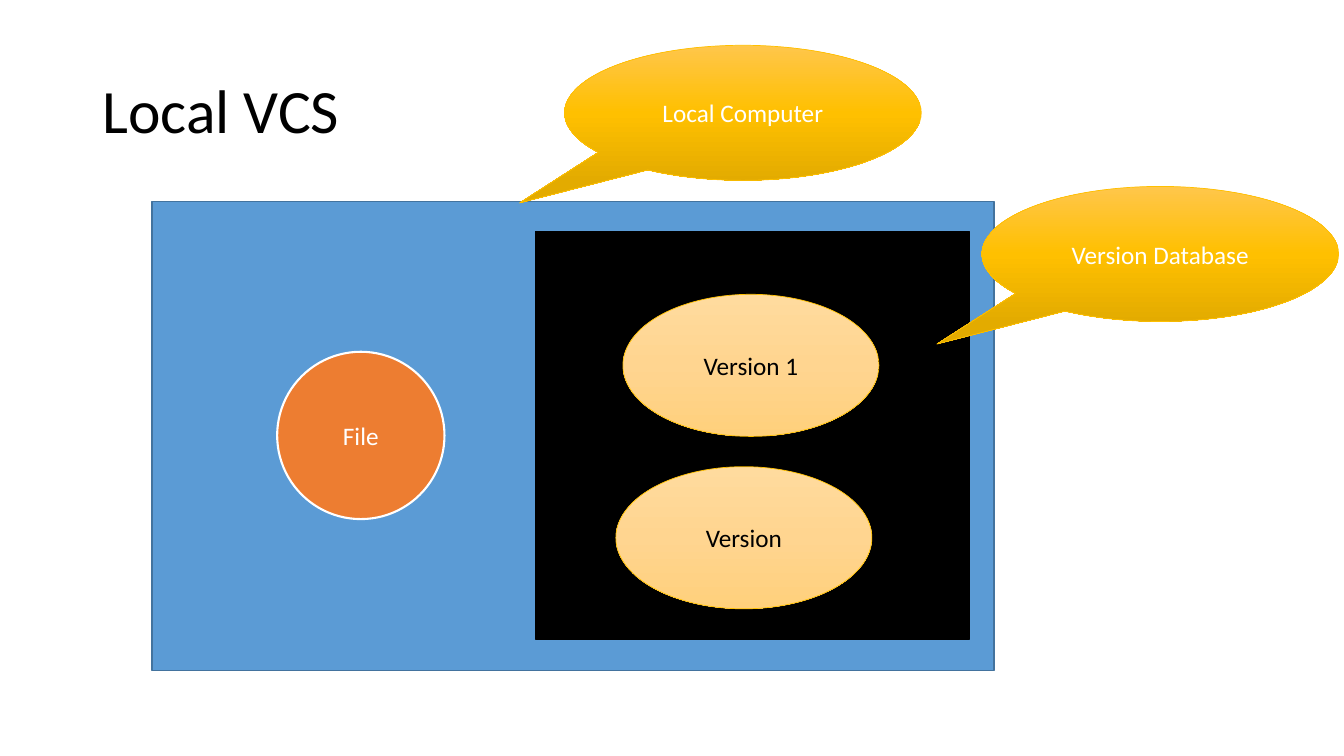
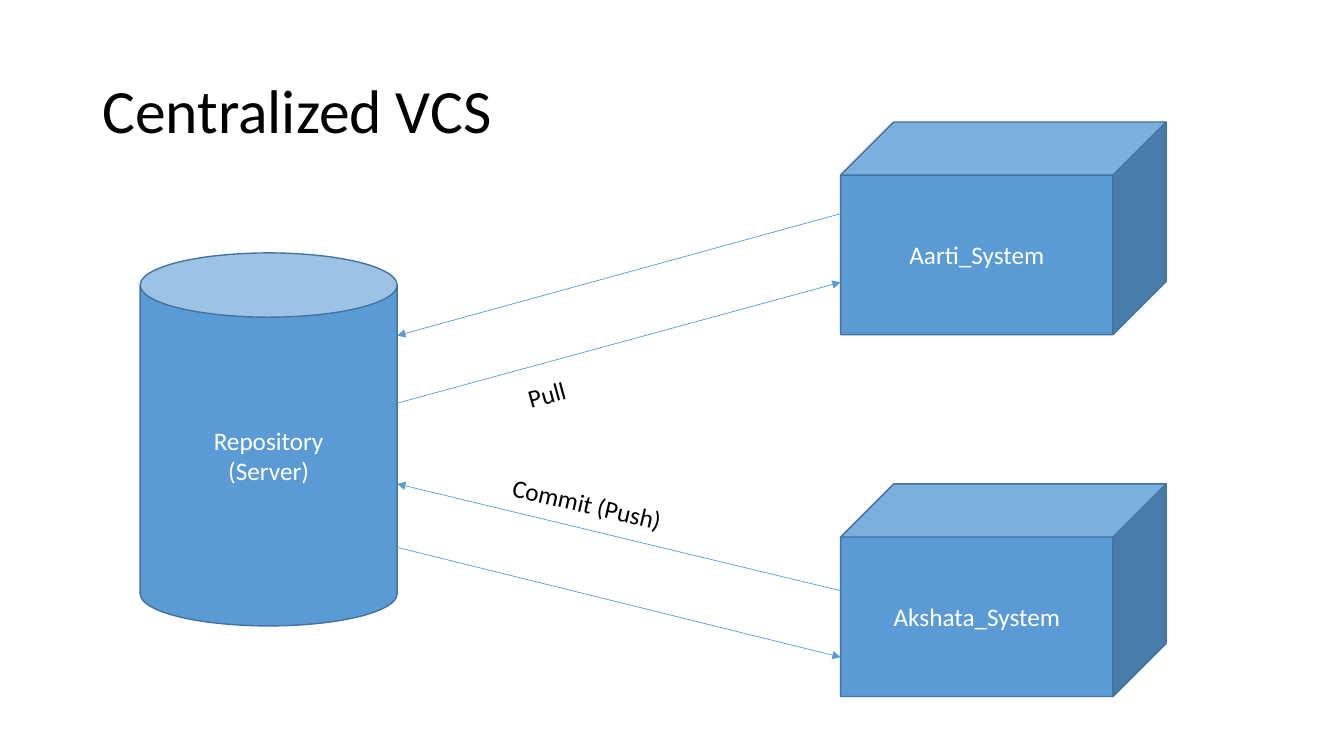
from copy import deepcopy

from lxml import etree
from pptx import Presentation
from pptx import util as u
from pptx.dml import color
from pptx.enum import shapes, text
from pptx.oxml import ns

# Grid: 40 columns by 30 rows
COLUMN, ROW = u.Inches(1 / 3), u.Inches(0.25)
KIND = shapes.MSO_SHAPE


def paint(value):
    return color.RGBColor.from_string(value)


class Deck:
    """Holds the shared style and the current slide."""

    WHITE, BLACK, BLUE, NAVY = "FFFFFF", "000000", "5B9BD5", "43739E"
    ORANGE, GOLD = "ED7D31", "FFC000"
    PALE_GOLD = ("FFDB9E", "FFD590", "FFD07C")
    DEEP_GOLD = ("FFC64B", GOLD, "E3AB00")
    BODY = {"name": "Calibri", "size": u.Pt(18)}
    HEADING = {"name": "Calibri", "size": u.Pt(44)}

    def __init__(self):
        self.show = Presentation()
        self.show.slide_width, self.show.slide_height = 40 * COLUMN, 30 * ROW
        self.page = None

    def place(self, left, top, width, height):
        return (round(left * COLUMN), round(top * ROW),
                round(width * COLUMN), round(height * ROW))

    def new_page(self, heading):
        self.page = self.show.slides.add_slide(self.show.slide_layouts[6])
        title = self.label(heading, (2.75, 1.6, 34.5, 5.8), style=self.HEADING)
        title.text_frame.vertical_anchor = text.MSO_ANCHOR.MIDDLE
        title.text_frame.paragraphs[0].line_spacing = 0.9

    def set_words(self, box, words, ink, style, align):
        frame = box.text_frame
        frame.word_wrap = True
        frame.text = words
        for para in frame.paragraphs:
            para.alignment = align
            for span in para.runs:
                for name, value in style.items():
                    setattr(span.font, name, value)
                span.font.color.rgb = paint(ink)

    def label(self, words, area, style=BODY, turn=0):
        box = self.page.shapes.add_textbox(*self.place(*area))
        self.set_words(box, words, self.BLACK, style, text.PP_ALIGN.LEFT)
        box.rotation = turn
        return box

    def shape(self, kind, area, fill=BLUE, edge=NAVY, weight=1, words="",
              ink=WHITE, adjust=()):
        box = self.page.shapes.add_shape(kind, *self.place(*area))
        box.shadow.inherit = False
        for index, value in enumerate(adjust):
            box.adjustments[index] = value
        if isinstance(fill, str):
            box.fill.solid()
            box.fill.fore_color.rgb = paint(fill)
        else:
            self.shade(box, fill)
        box.line.color.rgb = paint(edge)
        box.line.width = u.Pt(weight)
        if words:
            box.text_frame.vertical_anchor = text.MSO_ANCHOR.MIDDLE
            self.set_words(box, words, ink, self.BODY, text.PP_ALIGN.CENTER)

    def shade(self, box, tones):
        """Fill from top to bottom with three evenly spaced tones."""
        box.fill.gradient()
        box.fill.gradient_angle = 270
        stops = box.element.spPr.find(".//" + ns.qn("a:gsLst"))
        stops.append(deepcopy(stops[-1]))
        for index, (stop, tone) in enumerate(zip(box.fill.gradient_stops, tones)):
            stop.color.rgb = paint(tone)
            stop.position = index / 2

    def version(self, words, left, top):
        self.shape(KIND.OVAL, (left, top, 7.62, 5.64), self.PALE_GOLD,
                   self.GOLD, 0.5, words, self.BLACK)

    def callout(self, words, left, top):
        self.shape(KIND.OVAL_CALLOUT, (left, top, 10.62, 5.36), self.DEEP_GOLD,
                   self.GOLD, 0.5, words, adjust=(-0.626, 0.667))

    def arrow(self, start, end):
        ends = self.place(*start, *end)
        line = self.page.shapes.add_connector(shapes.MSO_CONNECTOR.STRAIGHT, *ends)
        line.line.color.rgb = paint(self.BLUE)
        line.line.width = u.Pt(0.5)
        look = line.element.spPr
        etree.SubElement(look.find(ns.qn("a:ln")), ns.qn("a:tailEnd"), type="triangle")
        etree.SubElement(look, ns.qn("a:effectLst"))


def local_page(deck):
    deck.new_page("Local VCS")
    # Computer holding the file and the database
    deck.shape(KIND.RECTANGLE, (4.53, 8, 25.05, 18.6))
    deck.shape(KIND.OVAL, (8.25, 13.96, 4.98, 6.64), deck.ORANGE, deck.WHITE, 1.5, "File")
    deck.shape(KIND.RECTANGLE, (15.93, 9.2, 12.93, 16.16), deck.BLACK, deck.BLACK)
    deck.version("Version 1", 18.54, 11.68)
    deck.version("Version", 18.33, 18.52)
    # Explanations
    deck.callout("Local Computer", 16.8, 1.8)
    deck.callout("Version Database", 29.22, 7.4)


def centralized_page(deck):
    deck.new_page("Centralized VCS")
    # Server and its clients
    server_left, server_width, client_left = 4.17, 7.65, 25.02
    server_right = server_left + server_width
    deck.shape(KIND.CAN, (server_left, 10.04, server_width, 14.8),
               words="Repository\n(Server)")
    for words, top in (("Aarti_System", 4.84), ("Akshata_System", 19.2)):
        deck.shape(KIND.CUBE, (client_left, top, 9.69, 8.44), words=words)
    # Pushes run to the server, pulls to the clients
    for client_row, server_row in ((8.48, 13.32), (23.44, 19.2)):
        deck.arrow((client_left, client_row), (server_right, server_row))
    for server_row, client_row in ((16, 11.2), (21.72, 26.08)):
        deck.arrow((server_right, server_row), (client_left, client_row))
    deck.label("Commit (Push)", (14.91, 19.36, 6.21, 1.6), turn=13.2)
    deck.label("Pull", (15.33, 14.04, 6.21, 1.6), turn=344.7)


def main():
    deck = Deck()
    local_page(deck)
    centralized_page(deck)
    deck.show.save("out.pptx")


if __name__ == "__main__":
    main()
